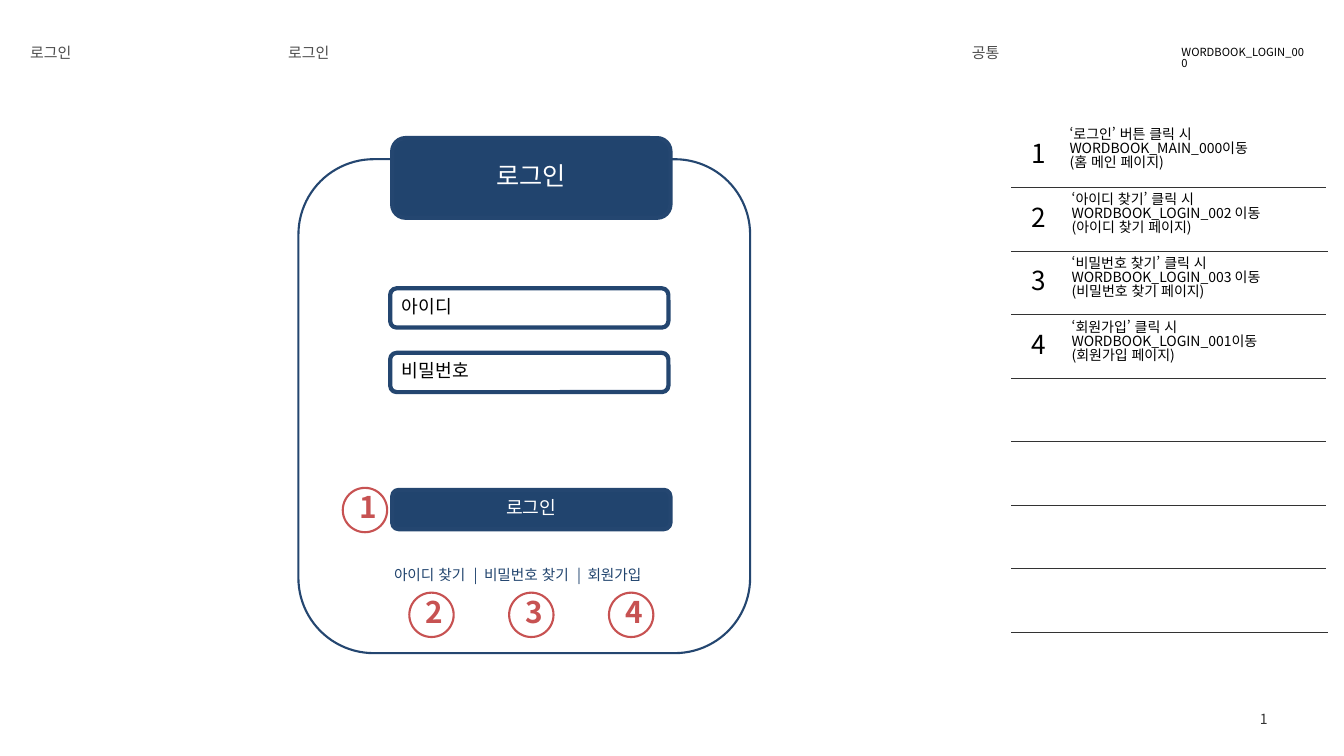
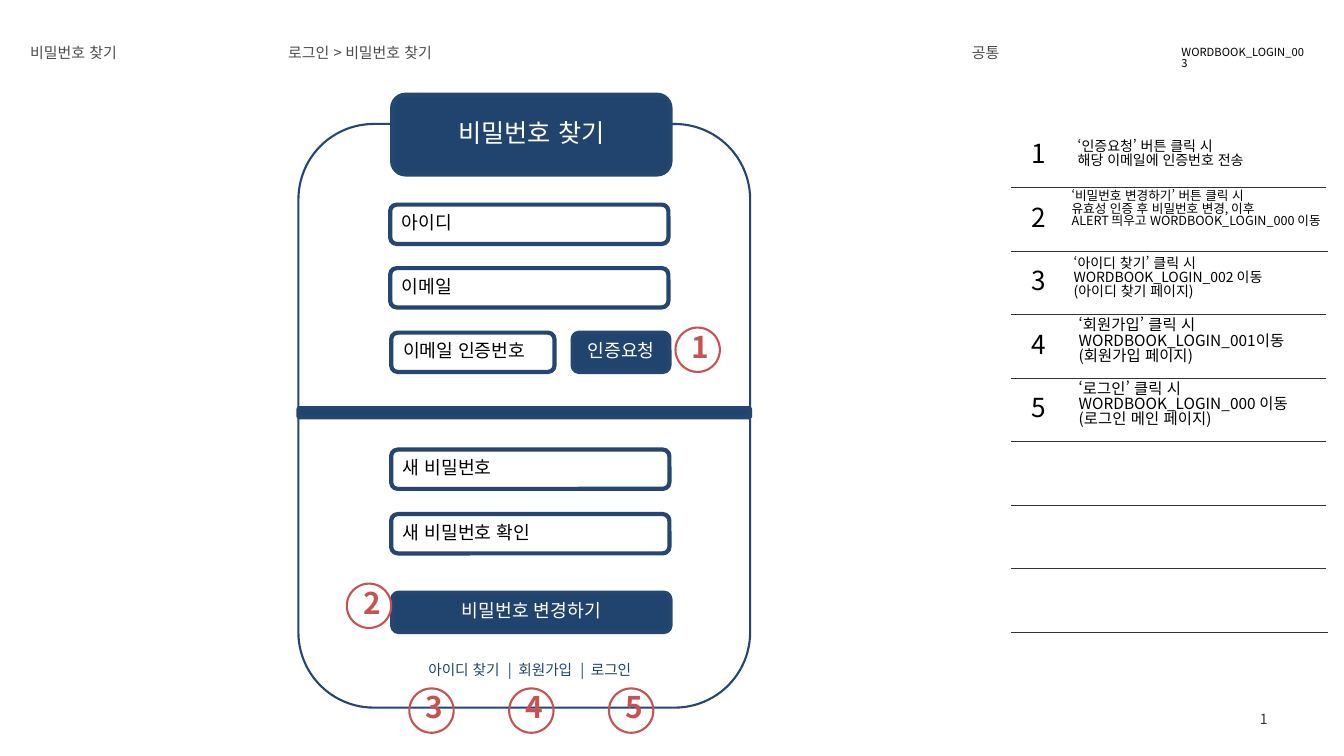
from lxml.etree import SubElement
from pptx import Presentation
from pptx.dml.color import RGBColor
from pptx.enum.lang import MSO_LANGUAGE_ID
from pptx.enum.shapes import MSO_CONNECTOR, MSO_SHAPE
from pptx.enum.text import MSO_ANCHOR, MSO_AUTO_SIZE, PP_ALIGN
from pptx.oxml.ns import qn
from pptx.util import Pt

EMU_PER_PX = 9144
FONT = "Noto Sans CJK KR"
LINE_SPACING = 0.83
COLORS = {
    "navy": "21446E",
    "outline": "244670",
    "red": "C75252",
    "heading": "4C4C4C",
    "rule": "333333",
    "black": "000000",
    "white": "FFFFFF",
}
LEFT, CENTER, RIGHT = PP_ALIGN.LEFT, PP_ALIGN.CENTER, PP_ALIGN.RIGHT

CARD_LEFT, CARD_WIDTH = 296, 448
FIELD_WIDTH, FIELD_HEIGHT = 276, 39
BUTTON_LEFT = 389
TAB_HEIGHT = 79
MARKER_SIZE = 44
MARKER_INSETS = (10, 9, 7, 10)
LINK_MARKER_LEFT, LINK_MARKER_STEP = 406, 99
ROW_LEFT, ROW_TOP, ROW_HEIGHT, ROW_COUNT = 1003, 123, 63, 8
RULE_WIDTH, LONG_RULE_WIDTH, LONG_RULES = 312, 314, (1, 7)

SCREENS = [
    {
        "title": "로그인",
        "trail": "로그인",
        "code": "WORDBOOK_LOGIN_000",
        "card": (158, 490),
        "tab": 137,
        "fields": [
            ("아이디", 387, 286, FIELD_WIDTH),
            ("비밀번호", 387, 350, FIELD_WIDTH),
        ],
        "buttons": [("로그인", BUTTON_LEFT, 486, FIELD_WIDTH)],
        "links": (["아이디 찾기", "비밀번호 찾기", "회원가입"], 559, LEFT),
        "markers": [(340, 484)],
        "link_markers": 588,
        "notes": [
            (1051, 122, 10, ["‘로그인’ 버튼 클릭 시", "WORDBOOK_MAIN_000이동", "(홈 메인 페이지)"]),
            (1053, 187, 10, ["‘아이디 찾기’ 클릭 시", "WORDBOOK_LOGIN_002 이동", "(아이디 찾기 페이지)"]),
            (1053, 250, 10, ["‘비밀번호 찾기’ 클릭 시", "WORDBOOK_LOGIN_003 이동", "(비밀번호 찾기 페이지)"]),
            (1053, 314, 10, ["‘회원가입’ 클릭 시", "WORDBOOK_LOGIN_001이동", "(회원가입 페이지)"]),
        ],
    },
    {
        "title": "비밀번호 찾기",
        "trail": "로그인 > 비밀번호 찾기",
        "code": "WORDBOOK_LOGIN_003",
        "card": (123, 579),
        "tab": 94,
        "divider": 405,
        "fields": [
            ("아이디", 387, 203, FIELD_WIDTH),
            ("이메일", 387, 266, FIELD_WIDTH),
            ("이메일 인증번호", 388, 330, 162),
            ("새 비밀번호", 388, 446, FIELD_WIDTH),
            ("새 비밀번호 확인", 388, 510, FIELD_WIDTH),
        ],
        "buttons": [
            ("인증요청", 568, 330, 96),
            ("비밀번호 변경하기", BUTTON_LEFT, 588, FIELD_WIDTH),
        ],
        "links": (["아이디 찾기", "회원가입", "로그인"], 654, CENTER),
        "markers": [(670, 325), (344, 579)],
        "link_markers": 683,
        "notes": [
            (1059, 134, 10, ["‘인증요청’ 버튼 클릭 시", "해당 이메일에 인증번호 전송"]),
            (1053, 184, 9, ["‘비밀번호 변경하기’ 버튼 클릭 시", "유효성 인증 후 비밀번호 변경, 이후",
                            "ALERT 띄우고 WORDBOOK_LOGIN_000 이동"]),
            (1055, 250, 10, ["‘아이디 찾기’ 클릭 시", "WORDBOOK_LOGIN_002 이동", "(아이디 찾기 페이지)"]),
            (1060, 311, 11, ["‘회원가입’ 클릭 시", "WORDBOOK_LOGIN_001이동", "(회원가입 페이지)"]),
            (1060, 374, 11, ["‘로그인’ 클릭 시", "WORDBOOK_LOGIN_000 이동", "(로그인 메인 페이지)"]),
        ],
    },
]


def px(*lengths):
    return [length * EMU_PER_PX for length in lengths]


def color(name):
    return RGBColor.from_string(COLORS[name])


def write(shape, text, size, ink, align=LEFT, anchor=MSO_ANCHOR.TOP, insets=(10, 5, 10, 5), bold=False):
    frame = shape.text_frame
    frame.text = text
    frame.word_wrap = True
    frame.auto_size = MSO_AUTO_SIZE.NONE
    frame.vertical_anchor = anchor
    frame.margin_left, frame.margin_top, frame.margin_right, frame.margin_bottom = px(*insets)
    for para in frame.paragraphs:
        para.alignment = align
        para.line_spacing = LINE_SPACING
        para.space_before = Pt(0)
        for span in para.runs:
            span.font.name = FONT
            span.font.size = Pt(size)
            span.font.bold = bold
            span.font.color.rgb = color(ink)
            span.font.language_id = MSO_LANGUAGE_ID.KOREAN
            SubElement(span.font._element, qn("a:ea")).set("typeface", FONT)


def add_text(page, area, text, size, ink, **style):
    write(page.shapes.add_textbox(*px(*area)), text, size, ink, **style)


def add_box(page, area, kind=MSO_SHAPE.ROUNDED_RECTANGLE, fill=None, outline="outline", weight=3):
    box = page.shapes.add_shape(kind, *px(*area))
    box.shadow.inherit = False
    if fill:
        box.fill.solid()
        box.fill.fore_color.rgb = color(fill)
    else:
        box.fill.background()
    box.line.color.rgb = color(outline)
    box.line.width = Pt(weight)
    return box


def add_rule(page, left, top, width):
    rule = page.shapes.add_connector(MSO_CONNECTOR.STRAIGHT, *px(left, top, left + width, top))
    rule.line.color.rgb = color("rule")
    rule.line.width = Pt(0.3)
    SubElement(rule._element.spPr, qn("a:effectLst"))


def add_header(page, screen):
    title = page.shapes.title
    title.left, title.top, title.width, title.height = px(20, 41, 251, 28)
    write(title, screen["title"], 10.7, "heading")
    add_text(page, (276, 41, 670, 28), screen["trail"], 10.7, "heading")
    add_text(page, (954, 41, 206, 28), "공통", 10.7, "heading")
    add_text(page, (1162, 42, 146, 24), screen["code"], 8, "black")
    add_text(page, (956, 695, 311, 40), "1", 10, "rule", align=RIGHT, anchor=MSO_ANCHOR.MIDDLE)


def add_notes(page, notes):
    for row in range(ROW_COUNT):
        width = LONG_RULE_WIDTH if row in LONG_RULES else RULE_WIDTH
        add_rule(page, ROW_LEFT, ROW_TOP + ROW_HEIGHT * (row + 1), width)
    for row, (left, top, size, lines) in enumerate(notes):
        add_text(page, (ROW_LEFT, ROW_TOP + ROW_HEIGHT * row, 54, ROW_HEIGHT), str(row + 1), 18.7, "black",
                 align=CENTER, anchor=MSO_ANCHOR.MIDDLE, insets=(13, 7, 13, 7))
        add_text(page, (left, top, 275, 61), "\n".join(lines), size, "black")


def add_form(page, screen):
    card_top, card_height = screen["card"]
    add_box(page, (CARD_LEFT, card_top, CARD_WIDTH, card_height), weight=1.5)
    if "divider" in screen:
        add_box(page, (CARD_LEFT, screen["divider"], CARD_WIDTH, 9), fill="navy")

    tab = add_box(page, (BUTTON_LEFT, screen["tab"], FIELD_WIDTH, TAB_HEIGHT), fill="navy")
    write(tab, screen["title"], 18, "white", align=CENTER, anchor=MSO_ANCHOR.MIDDLE)
    for label, left, top, width in screen["fields"]:
        field = add_box(page, (left, top, width, FIELD_HEIGHT))
        write(field, label, 13, "black", anchor=MSO_ANCHOR.MIDDLE)
    for label, left, top, width in screen["buttons"]:
        button = add_box(page, (left, top, width, FIELD_HEIGHT), fill="navy")
        write(button, label, 13, "white", align=CENTER, anchor=MSO_ANCHOR.MIDDLE)

    links, top, align = screen["links"]
    add_text(page, (381, top, 289, 29), "  |  ".join(links), 10.5, "navy", align=align)


def add_markers(page, screen):
    under_links = [(LINK_MARKER_LEFT + LINK_MARKER_STEP * index, screen["link_markers"]) for index in range(3)]
    for number, (left, top) in enumerate(screen["markers"] + under_links, 1):
        marker = add_box(page, (left, top, MARKER_SIZE, MARKER_SIZE), MSO_SHAPE.OVAL, outline="red", weight=1.5)
        write(marker, str(number), 21.3, "red", align=CENTER, anchor=MSO_ANCHOR.MIDDLE,
              insets=MARKER_INSETS, bold=True)


def main():
    deck = Presentation()
    deck.slide_width, deck.slide_height = px(1333, 750)
    for screen in SCREENS:
        page = deck.slides.add_slide(deck.slide_layouts[5])
        add_header(page, screen)
        add_notes(page, screen["notes"])
        add_form(page, screen)
        add_markers(page, screen)
    deck.save("out.pptx")


if __name__ == "__main__":
    main()
